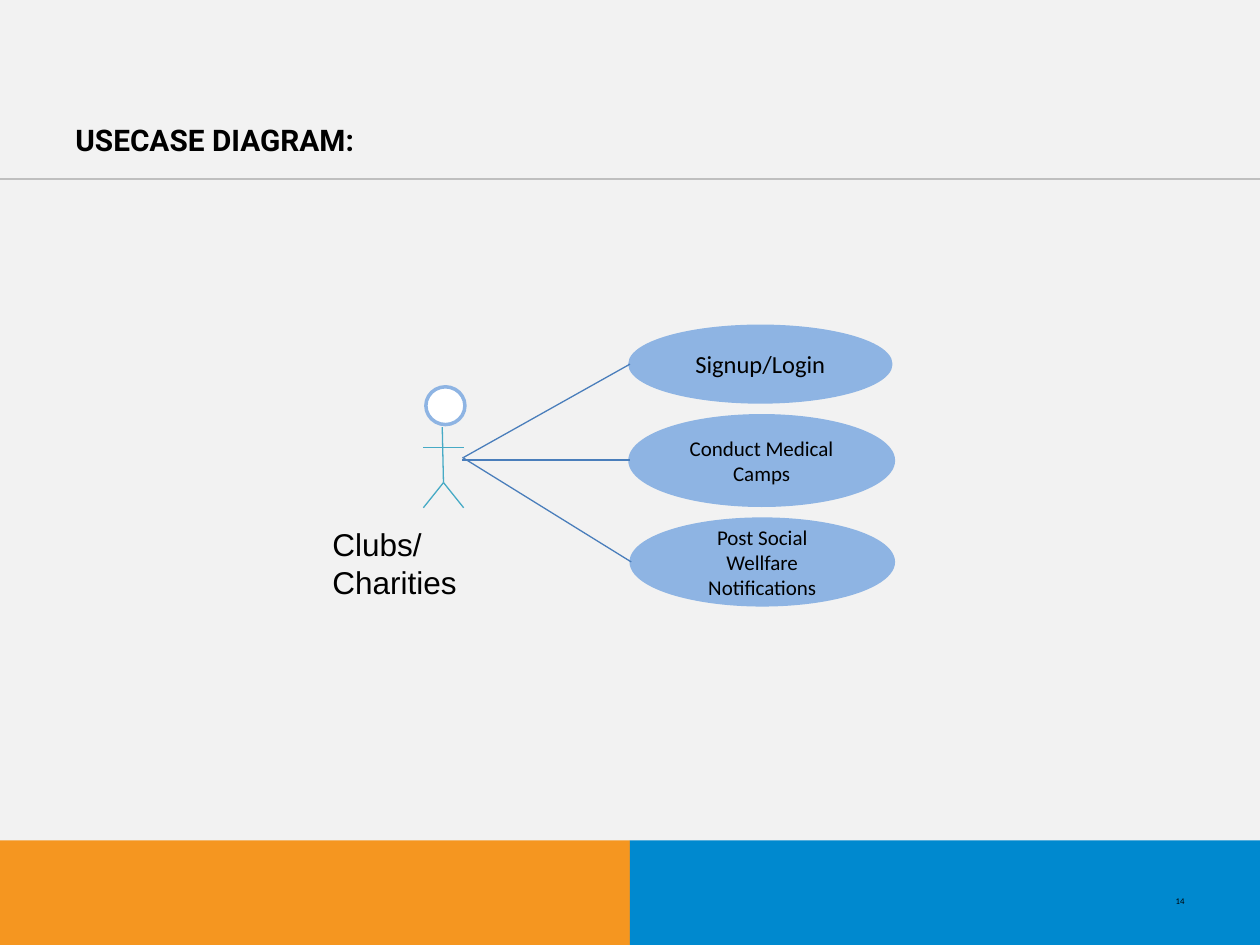
"""Build a use case diagram slide for clubs and charities."""
from dataclasses import dataclass

from lxml import etree
from pptx import Presentation
from pptx.dml.color import RGBColor
from pptx.enum.shapes import MSO_CONNECTOR, MSO_SHAPE
from pptx.enum.text import MSO_ANCHOR, PP_ALIGN
from pptx.oxml.ns import qn
from pptx.util import Inches, Pt

RECT, OVAL = MSO_SHAPE.RECTANGLE, MSO_SHAPE.OVAL
STRAIGHT = MSO_CONNECTOR.STRAIGHT
TOP, MIDDLE = MSO_ANCHOR.TOP, MSO_ANCHOR.MIDDLE
LEFT, CENTER, RIGHT = PP_ALIGN.LEFT, PP_ALIGN.CENTER, PP_ALIGN.RIGHT


@dataclass(frozen=True)
class Theme:
    back: str = "F2F2F2"
    orange: str = "F59620"
    blue: str = "0089CF"
    rule: str = "BFBFBF"
    figure: str = "46AAC5"
    link: str = "4A7EBB"
    oval: str = "8EB4E3"
    white: str = "FFFFFF"
    text: str = "000000"
    title_size: float = 17
    actor_size: float = 18
    case_size: float = 14
    small_case_size: float = 12
    number_size: float = 5
    thin: float = 0.75
    thick: float = 2


T = Theme()


def add_shape(kind, x, y, w, h, fill, line=None):
    sp = s.shapes.add_shape(kind, Inches(x), Inches(y), Inches(w), Inches(h))
    sp.shadow.inherit = False
    sp.fill.solid()
    sp.fill.fore_color.rgb = RGBColor.from_string(fill)
    if line:
        sp.line.color.rgb = RGBColor.from_string(line)
        sp.line.width = Pt(T.thick)
    else:
        sp.line.fill.background()
    return sp


def set_text(sp, text, font, size, align, anchor, bold=False):
    tf = sp.text_frame
    tf.word_wrap = True
    tf.vertical_anchor = anchor
    tf.text = text
    p = tf.paragraphs[0]
    p.alignment = align
    r = p.runs[0]
    r.font.name = font
    r.font.size = Pt(size)
    r.font.bold = bold
    r.font.color.rgb = RGBColor.from_string(T.text)


prs = Presentation()
prs.slide_width, prs.slide_height = Inches(10), Inches(7.5)
s = prs.slides.add_slide(prs.slide_layouts[6])

s.background.fill.solid()
s.background.fill.fore_color.rgb = RGBColor.from_string(T.back)
for x, color in ((0, T.orange), (5, T.blue)):
    add_shape(RECT, x, 6.67, 5, 0.83, color)

use_cases = (
    ("Signup/Login", 5, 2.59, 2.07, 0.6, T.case_size),
    ("Conduct Medical Camps", 5, 3.3, 2.09, 0.71, T.small_case_size),
    ("Post Social Wellfare Notifications", 5.01, 4.12, 2.08, 0.68, T.small_case_size),
)
for name, x, y, w, h, size in use_cases:
    sp = add_shape(OVAL, x, y, w, h, T.oval, T.oval)
    set_text(sp, name, "Calibri", size, CENTER, MIDDLE)

labels = (
    ("USECASE DIAGRAM:", 0.5, 0.92, 3.57, 0.39, "Roboto", T.title_size, LEFT, TOP, True),
    ("Clubs/Charities", 2.54, 4.12, 1.82, 0.7, "Arial", T.actor_size, LEFT, TOP, False),
    ("14", 7.17, 6.95, 2.33, 0.4, "Calibri", T.number_size, RIGHT, MIDDLE, False),
)
for text, x, y, w, h, *style in labels:
    sp = s.shapes.add_textbox(Inches(x), Inches(y), Inches(w), Inches(h))
    set_text(sp, text, *style)

lines = (
    (0, 1.42, 10, 1.42, T.rule),
    (3.51, 3.39, 3.52, 3.83, T.figure),
    (3.52, 3.83, 3.36, 4.03, T.figure),
    (3.52, 3.83, 3.68, 4.03, T.figure),
    (3.68, 3.55, 3.36, 3.55, T.figure),
    (3.68, 3.63, 5, 2.89, T.link),
    (3.67, 3.65, 5, 3.65, T.link),
    (3.67, 3.63, 5.01, 4.46, T.link),
)
for x1, y1, x2, y2, color in lines:
    line = s.shapes.add_connector(STRAIGHT, Inches(x1), Inches(y1), Inches(x2), Inches(y2))
    line.line.color.rgb = RGBColor.from_string(color)
    line.line.width = Pt(T.thin)
    etree.SubElement(line._element.spPr, qn("a:effectLst"))

add_shape(OVAL, 3.38, 3.07, 0.31, 0.3, T.white, T.oval)

prs.save("out.pptx")
